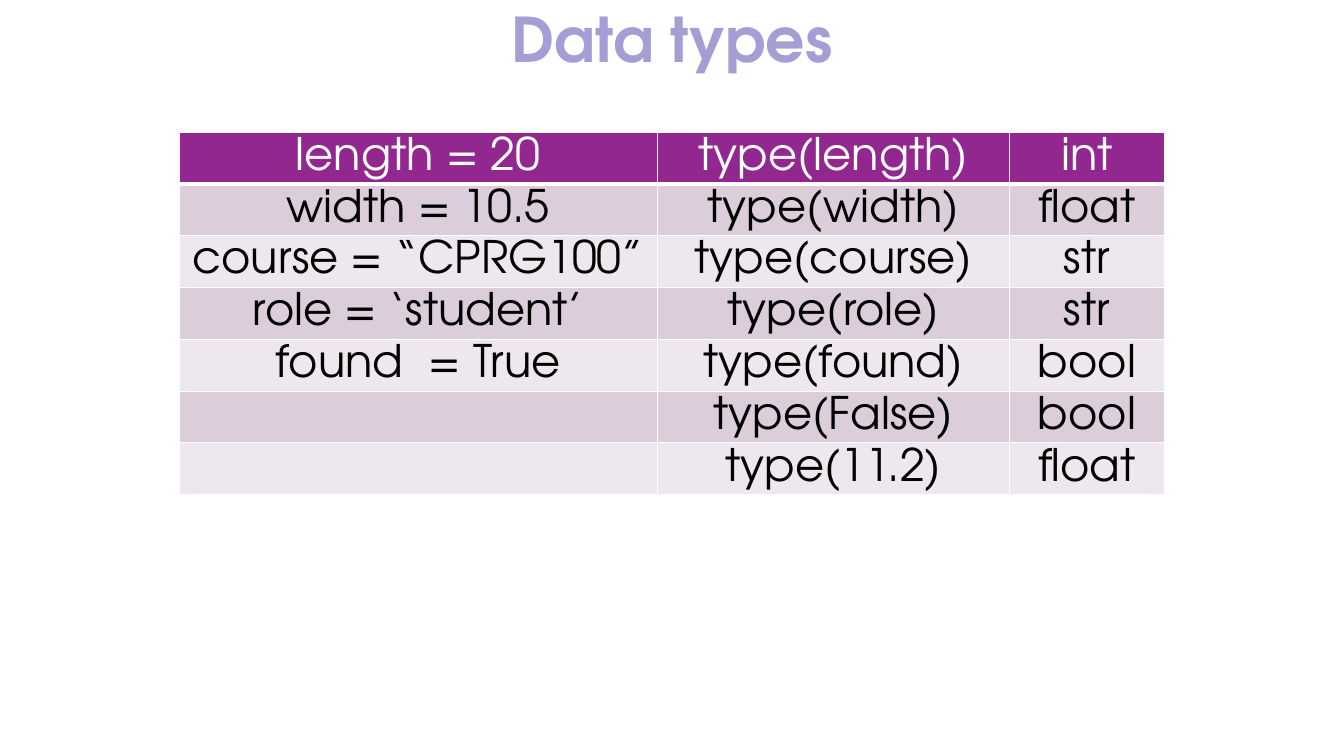
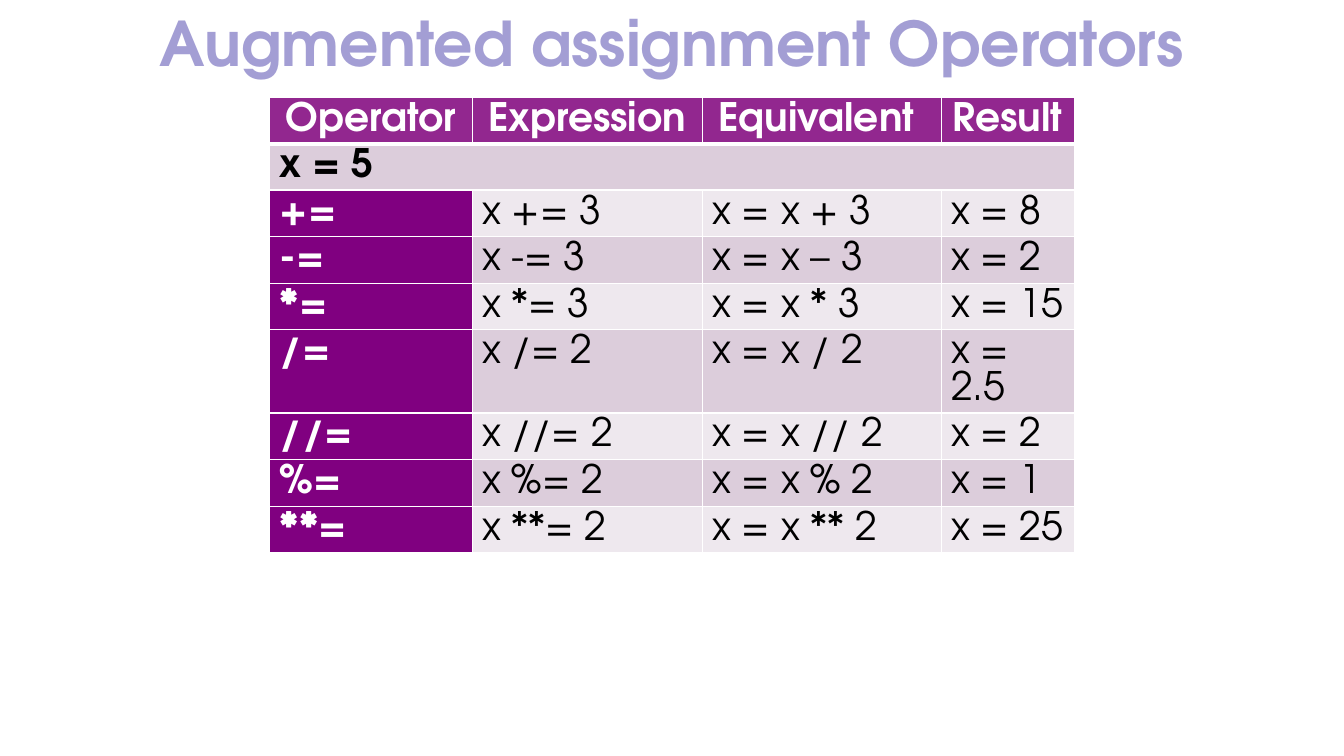
from lxml import etree
from pptx import Presentation
from pptx.dml.color import RGBColor
from pptx.enum.text import MSO_ANCHOR, PP_ALIGN
from pptx.oxml.ns import qn
from pptx.util import Cm, Pt

WHITE = RGBColor(0xFF, 0xFF, 0xFF)
BLACK = RGBColor(0x00, 0x00, 0x00)
LILAC = RGBColor(0xA3, 0x9E, 0xD4)
PLUM = RGBColor(0x92, 0x27, 0x8F)
PURPLE = RGBColor(0x80, 0x00, 0x80)
BANDS = (RGBColor(0xDC, 0xCD, 0xDB), RGBColor(0xEE, 0xE8, 0xEE))

CENTER, LEFT = PP_ALIGN.CENTER, PP_ALIGN.LEFT
MIDDLE, TOP = MSO_ANCHOR.MIDDLE, MSO_ANCHOR.TOP

FACE = "TeX Gyre Adventor"
WIDTH, HEIGHT = Cm(33.87), Cm(19.05)
ROW = Cm(1.04)
THIN, THICK = Pt(1), Pt(3)

TYPES = [
    ("length = 20", "type(length)", "int"),
    ("width = 10.5", "type(width)", "float"),
    ("course = “CPRG100”", "type(course)", "str"),
    ("role = ‘student’", "type(role)", "str"),
    ("found  = True", "type(found)", "bool"),
    ("", "type(False)", "bool"),
    ("", "type(11.2)", "float"),
]
OPS = [
    ("Operator", "Expression", "Equivalent ", "Result"),
    ("x = 5", "", "", ""),
    ("+=", "x += 3", "x = x + 3", "x = 8"),
    ("-=", "x -= 3", "x = x – 3", "x = 2"),
    ("*=", "x *= 3", "x = x * 3", "x = 15"),
    ("/=", "x /= 2", "x = x / 2", "x = 2.5"),
    ("//=", "x //= 2", "x = x // 2", "x = 2"),
    ("%=", "x %= 2", "x = x % 2", "x = 1"),
    ("**=", "x **= 2", "x = x ** 2", "x = 25"),
]


def write(frame, text, align, color, **style):
    para = frame.paragraphs[0]
    para.alignment = align
    if text:
        run = para.add_run()
        run.text = text
        run.font.color.rgb = color
        for key, value in {"name": FACE, **style}.items():
            setattr(run.font, key, value)
    return para


def add_title(deck, text, height):
    """Add a title-only slide with its title across the top."""
    slide = deck.slides.add_slide(deck.slide_layouts[5])
    title = slide.shapes.title
    box = {"left": 0, "top": 0, "width": WIDTH, "height": height}
    for key, value in box.items():
        setattr(title, key, value)
    title.text_frame.vertical_anchor = MIDDLE
    para = write(title.text_frame, text, CENTER, LILAC, size=Pt(44), bold=True)
    para.line_spacing = 0.9
    return slide


def edge(cell, row):
    """Draw white borders, thick between the header and the body."""
    props = cell._tc.get_or_add_tcPr()
    sides = {
        "L": THIN,
        "R": THIN,
        "T": THICK if row == 1 else THIN,
        "B": THICK if row == 0 else THIN,
    }
    for side, width in sides.items():
        line = etree.SubElement(props, qn(f"a:ln{side}"), w=str(width))
        fill = etree.SubElement(line, qn("a:solidFill"))
        etree.SubElement(fill, qn("a:srgbClr"), val=str(WHITE))


def add_grid(slide, rows, left, top, widths, look):
    """Add a banded table; look(row, col) gives fill, anchor and text style."""
    shape = slide.shapes.add_table(
        len(rows), len(widths), left, top, sum(widths), ROW * len(rows))
    table = shape.table
    for col, width in zip(table.columns, widths):
        col.width = width
    for r, texts in enumerate(rows):
        table.rows[r].height = ROW
        for c, text in enumerate(texts):
            cell = table.cell(r, c)
            fill, anchor, style = look(r, c)
            edge(cell, r)
            cell.fill.solid()
            cell.fill.fore_color.rgb = fill
            cell.vertical_anchor = anchor
            write(cell.text_frame, text, **style)
    return table


def band(row):
    return PLUM if row == 0 else BANDS[(row - 1) % 2]


def type_look(row, col):
    color = BLACK if row else WHITE
    style = {"align": CENTER, "color": color, "size": Pt(32), "bold": False}
    return band(row), MIDDLE, style


def op_look(row, col):
    key = row > 1 and col == 0
    style = {
        "align": LEFT if row else CENTER,
        "color": WHITE if key or row == 0 else BLACK,
        "size": Pt(28),
        "bold": row < 2 or col == 0,
    }
    return PURPLE if key else band(row), TOP, style


def type_slide(deck):
    slide = add_title(deck, "Data types", Cm(2.15))
    widths = [Cm(12.04), Cm(8.89), Cm(3.89)]
    add_grid(slide, TYPES, Cm(4.52), Cm(3.33), widths, type_look)


def op_slide(deck):
    slide = add_title(deck, "Augmented assignment Operators", Cm(2.35))
    widths = [Cm(5.1), Cm(5.8), Cm(6.02), Cm(3.35)]
    table = add_grid(slide, OPS, Cm(6.8), Cm(2.46), widths, op_look)
    table.cell(1, 0).merge(table.cell(1, len(widths) - 1))


def main():
    deck = Presentation()
    deck.slide_width, deck.slide_height = WIDTH, HEIGHT
    type_slide(deck)
    op_slide(deck)
    deck.save("out.pptx")


if __name__ == "__main__":
    main()
